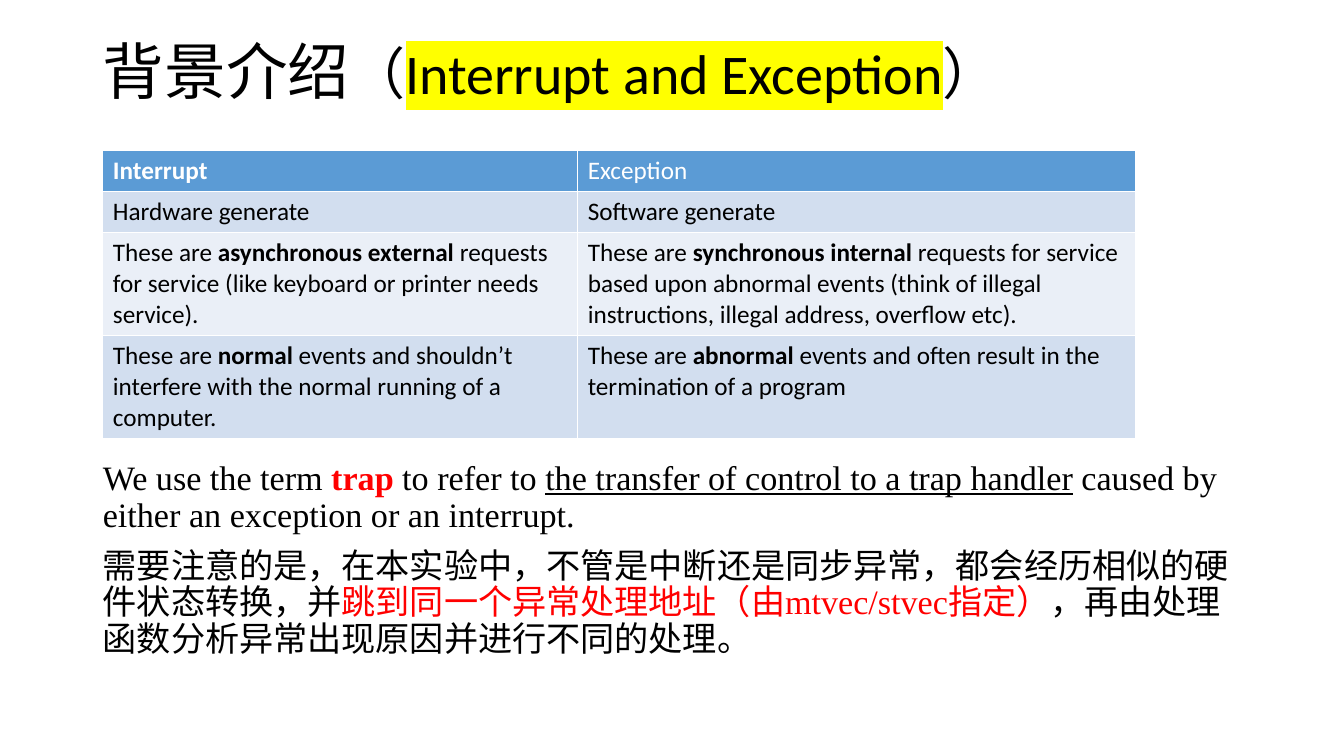
from lxml import etree
from pptx import Presentation
from pptx.dml import color
from pptx.enum import text
from pptx.oxml import ns
from pptx.util import Inches, Pt


def rgb(value):
    return color.RGBColor.from_string(value)


def add_run(p, content, size=18, font="Calibri", fill="000000", bold=False, underline=False, highlight=None):
    r = p.add_run()
    r.text = content
    r.font.size = Pt(size)
    r.font.name = font
    r.font.bold = bold
    r.font.underline = underline
    r.font.color.rgb = rgb(fill)
    if highlight:
        mark = etree.Element(ns.qn("a:highlight"))
        etree.SubElement(mark, ns.qn("a:srgbClr"), val=highlight)
        r.font._element.find(ns.qn("a:solidFill")).addnext(mark)


prs = Presentation()
prs.slide_width = Inches(13.33)
prs.slide_height = Inches(7.5)
s = prs.slides.add_slide(prs.slide_layouts[1])

title = s.shapes.title
title.left, title.top, title.width, title.height = Inches(0.92), Inches(0.29), Inches(11.58), Inches(0.9)
tf = title.text_frame
tf.auto_size = text.MSO_AUTO_SIZE.NONE
tf.vertical_anchor = text.MSO_ANCHOR.MIDDLE
p = tf.paragraphs[0]
p.alignment = text.PP_ALIGN.LEFT
p.line_spacing = 0.9
add_run(p, "背景介绍", size=44)
add_run(p, "（", size=40)
add_run(p, "Interrupt and Exception", size=40, highlight="FFFF00")
add_run(p, "）", size=40)

body = s.placeholders[1]
body.left, body.top, body.width, body.height = Inches(0.92), Inches(4.52), Inches(11.5), Inches(2.7)
tf = body.text_frame
tf.auto_size = text.MSO_AUTO_SIZE.NONE
tf.vertical_anchor = text.MSO_ANCHOR.TOP
notes = [
    [
        ("We use the term ", {}),
        ("trap", {"fill": "FF0000", "bold": True}),
        (" to refer to ", {}),
        ("the transfer of control to a trap handler", {"underline": True}),
        (" caused by either an exception or an interrupt.", {}),
    ],
    [
        ("需要注意的是，在本实验中，不管是中断还是同步异常，都会经历相似的硬件状态转换，并", {}),
        ("跳到同一个异常处理地址（由mtvec/stvec指定）", {"fill": "FF0000"}),
        ("，再由处理函数分析异常出现原因并进行不同的处理。", {}),
    ],
]
for i, runs in enumerate(notes):
    p = tf.paragraphs[0] if i == 0 else tf.add_paragraph()
    p.line_spacing = 0.9
    p.space_before = Pt(10 * i)
    pPr = p._p.get_or_add_pPr()
    pPr.set("marL", "0")
    pPr.set("indent", "0")
    etree.SubElement(pPr, ns.qn("a:buNone"))
    for content, fmt in runs:
        add_run(p, content, size=24.4, font="Times New Roman", **fmt)

rows = [
    [["", "Interrupt", ""], ["Exception"]],
    [["Hardware generate"], ["Software generate"]],
    [
        ["These are ", "asynchronous external", " requests for service (like keyboard or printer needs service)."],
        ["These are ", "synchronous internal", " requests for service based upon abnormal events "
         "(think of illegal instructions, illegal address, overflow etc)."],
    ],
    [
        ["These are ", "normal", " events and shouldn’t interfere with the normal running of a computer."],
        ["These are ", "abnormal", " events and often result in the termination of a program"],
    ],
]
fills = ["5B9BD5", "D2DEEF", "EAEFF7", "D2DEEF"]
heights = [0.41, 0.41, 1.02, 1.02]
table = s.shapes.add_table(4, 2, Inches(1.02), Inches(1.49), Inches(10.24), Inches(sum(heights))).table
for column, width in zip(table.columns, [4.71, 5.53]):
    column.width = Inches(width)
for i, row in enumerate(rows):
    table.rows[i].height = Inches(heights[i])
    for j, parts in enumerate(row):
        cell = table.cell(i, j)
        cell.fill.solid()
        cell.fill.fore_color.rgb = rgb(fills[i])
        p = cell.text_frame.paragraphs[0]
        for k, content in enumerate(parts):
            if content:
                add_run(p, content, fill="000000" if i else "FFFFFF", bold=k == 1)

prs.save("out.pptx")
